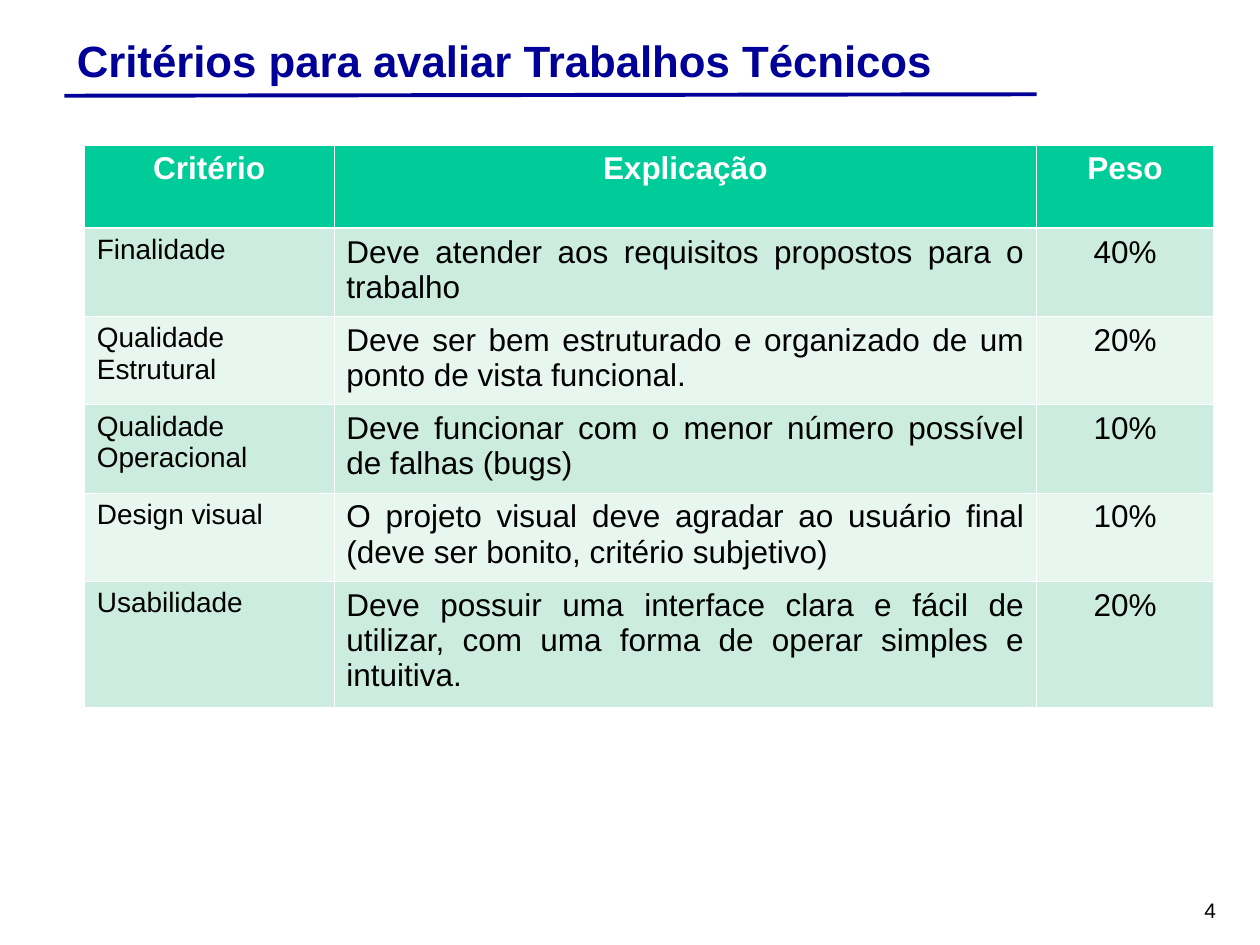
"""Build a slide with a table of weighted criteria for technical work."""
from typing import NamedTuple

import lxml.etree
import pptx
import pptx.dml.color
import pptx.enum.shapes
import pptx.enum.text
import pptx.oxml.ns
import pptx.util

Cm, Pt, qn = pptx.util.Cm, pptx.util.Pt, pptx.oxml.ns.qn
ALIGN = pptx.enum.text.PP_ALIGN
ANCHOR = pptx.enum.text.MSO_ANCHOR

FONT = "Arial"
NAVY, GREEN, WHITE, BLACK = "000099", "00CC99", "FFFFFF", "000000"
BANDS = ("CBECDE", "E7F6EF")
COL_WIDTHS = (5.03, 14.17, 3.56)
ROW_HEIGHTS = (1.68, 1.78, 1.78, 1.78, 1.78, 2.54)
THIN, THICK = 0.45, 1.47


class Style(NamedTuple):
    size: float
    color: str = BLACK
    bold: bool = False
    align: ALIGN = ALIGN.LEFT


class Label(NamedTuple):
    text: str
    left: float
    top: float
    width: float
    height: float
    style: Style
    anchor: ANCHOR = ANCHOR.TOP


class Criterion(NamedTuple):
    name: str
    explanation: str
    weight: str


LABELS = (
    Label("Critérios para avaliar Trabalhos Técnicos", 1.3, 0.56, 19.41, 1.32,
          Style(25, NAVY, True), ANCHOR.MIDDLE),
    Label("4", 24.03, 17.96, 1.85, 0.76, Style(12)),
)
HEADER = Criterion("Critério", "Explicação", "Peso")
CRITERIA = (
    Criterion("Finalidade", "Deve atender aos requisitos propostos para o trabalho", "40%"),
    Criterion("Qualidade Estrutural",
              "Deve ser bem estruturado e organizado de um ponto de vista funcional.", "20%"),
    Criterion("Qualidade Operacional",
              "Deve funcionar com o menor número possível de falhas (bugs)", "10%"),
    Criterion("Design visual",
              "O projeto visual deve agradar ao usuário final (deve ser bonito, critério subjetivo)",
              "10%"),
    Criterion("Usabilidade",
              "Deve possuir uma interface clara e fácil de utilizar, "
              "com uma forma de operar simples e intuitiva.", "20%"),
)
HEADER_STYLES = (Style(18, WHITE, True, ALIGN.CENTER),) * 3
BODY_STYLES = (Style(16), Style(18, align=ALIGN.JUSTIFY), Style(18, align=ALIGN.CENTER))


def rgb(color: str) -> pptx.dml.color.RGBColor:
    return pptx.dml.color.RGBColor.from_string(color)


def write(tf, text: str, style: Style) -> None:
    p = tf.paragraphs[0]
    p.text = text
    p.alignment = style.align
    p.font.name = FONT
    p.font.size = Pt(style.size)
    p.font.bold = style.bold
    p.font.color.rgb = rgb(style.color)


def add_label(s, label: Label) -> None:
    sp = s.shapes.add_textbox(Cm(label.left), Cm(label.top), Cm(label.width), Cm(label.height))
    tf = sp.text_frame
    tf.word_wrap = True
    tf.vertical_anchor = label.anchor
    write(tf, label.text, label.style)


def add_rule(s, x1: float, y1: float, x2: float, y2: float) -> None:
    line = s.shapes.add_connector(
        pptx.enum.shapes.MSO_CONNECTOR.STRAIGHT, Cm(x1), Cm(y1), Cm(x2), Cm(y2))
    line.line.color.rgb = rgb(NAVY)
    line.line.width = Pt(2.25)
    lxml.etree.SubElement(line._element.spPr, qn("a:effectLst"))


def set_borders(cell, top: float, bottom: float) -> None:
    tc_pr = cell._tc.get_or_add_tcPr()
    sides = {"lnL": THIN, "lnR": THIN, "lnT": top, "lnB": bottom}
    for i, (side, width) in enumerate(sides.items()):
        ln = lxml.etree.Element(qn(f"a:{side}"), w=str(Pt(width)))
        fill = lxml.etree.SubElement(ln, qn("a:solidFill"))
        lxml.etree.SubElement(fill, qn("a:srgbClr"), val=WHITE)
        tc_pr.insert(i, ln)


def add_criteria_table(s, left: float, top: float) -> None:
    rows = (HEADER, *CRITERIA)
    table = s.shapes.add_table(
        len(rows), len(COL_WIDTHS), Cm(left), Cm(top),
        Cm(sum(COL_WIDTHS)), Cm(sum(ROW_HEIGHTS))).table
    for col, width in zip(table.columns, COL_WIDTHS):
        col.width = Cm(width)
    for i, (row, height, texts) in enumerate(zip(table.rows, ROW_HEIGHTS, rows)):
        row.height = Cm(height)
        styles = BODY_STYLES if i else HEADER_STYLES
        fill = BANDS[(i - 1) % 2] if i else GREEN
        for cell, text, style in zip(row.cells, texts, styles):
            cell.fill.solid()
            cell.fill.fore_color.rgb = rgb(fill)
            set_borders(cell, THICK if i == 1 else THIN, THICK if i == 0 else THIN)
            write(cell.text_frame, text, style)


def main() -> None:
    prs = pptx.Presentation()
    prs.slide_width, prs.slide_height = Cm(25.4), Cm(19.05)
    s = prs.slides.add_slide(prs.slide_layouts[6])
    add_rule(s, 1.3, 1.93, 20.9, 1.9)
    for label in LABELS:
        add_label(s, label)
    add_criteria_table(s, 1.7, 2.92)
    prs.save("out.pptx")


if __name__ == "__main__":
    main()
